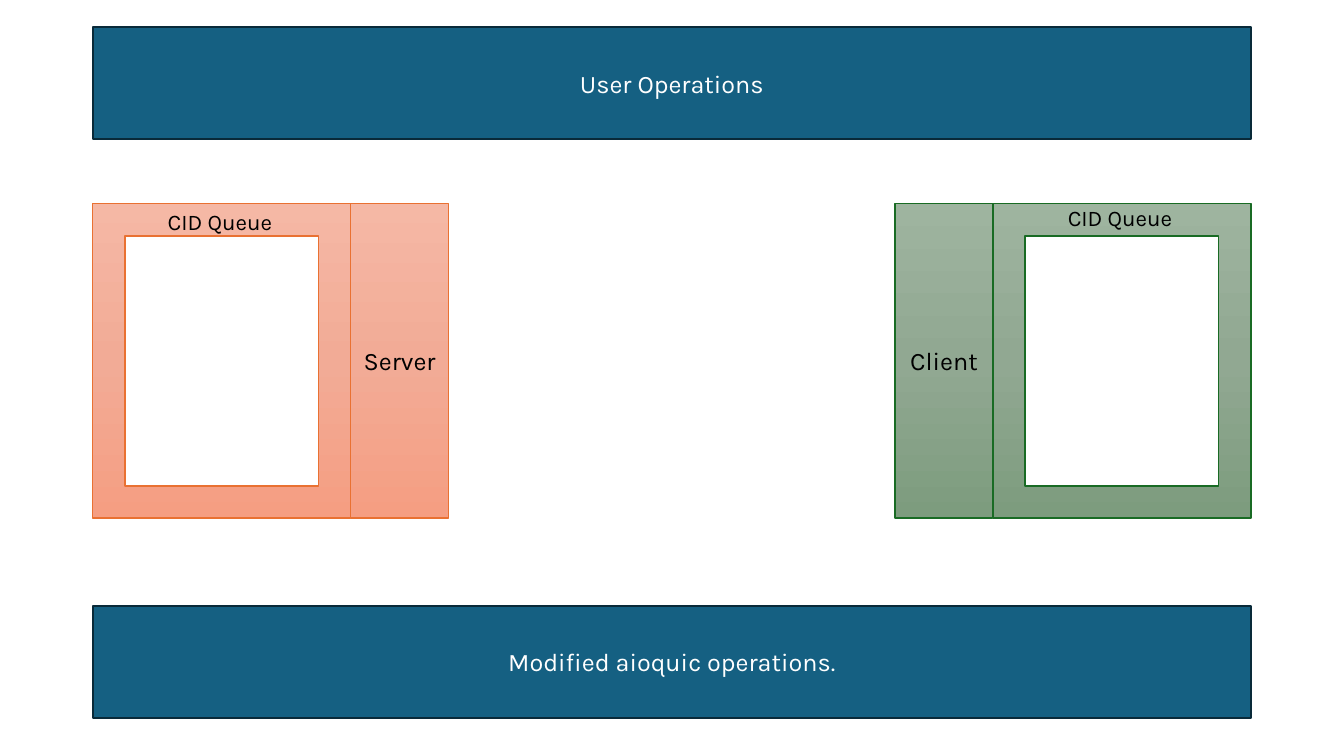
"""Build a slide showing a server and a client between two operation layers."""
from copy import deepcopy
from dataclasses import dataclass

from pptx import Presentation
from pptx.dml.color import RGBColor
from pptx.enum.shapes import MSO_SHAPE as Preset
from pptx.enum.text import MSO_ANCHOR as Anchor, MSO_AUTO_SIZE as AutoSize, PP_ALIGN as Align
from pptx.util import Pt


@dataclass(frozen=True)
class Theme:
    """Colours, font and type sizes of the slide."""
    font: str = "Karla"
    label_size: int = 18
    queue_size: int = 16
    dark_text: str = "000000"
    light_text: str = "FFFFFF"
    bar_fill: str = "156082"
    bar_line: str = "092A39"
    server_line: str = "E97132"
    server_fill: tuple = ("F5B8A5", "F2AB96", "F59E82")
    client_line: str = "196B24"
    client_fill: tuple = ("9EB49F", "91A892", "7D9C7E")


THEME = Theme()
LEFT, CONTENT_WIDTH = 66.24, 827.28
RIGHT = LEFT + CONTENT_WIDTH
BAR_HEIGHT = 79.92
PEER_TOP, PEER_HEIGHT = 145.44, 224.64
FRAME_WIDTH, LABEL_WIDTH = 184.32, 69.84
QUEUE_WIDTH, QUEUE_HEIGHT = 91.44, 26.64


def apply_format(target, values):
    """Set each named attribute on the target."""
    for name, value in values.items():
        setattr(target, name, value)


def write_text(shape, text, size, color, align):
    """Put one formatted line of text in a shape."""
    paragraph = shape.text_frame.paragraphs[0]
    paragraph.alignment = align
    run = paragraph.add_run()
    run.text = text
    apply_format(run.font, {"name": THEME.font, "size": Pt(size)})
    run.font.color.rgb = RGBColor.from_string(color)


def fill_gradient(shape, colors):
    """Fill a shape from top to bottom with three evenly spaced colours."""
    shape.fill.gradient()
    shape.fill.gradient_angle = 270
    stop_list = shape._element.spPr.find(".//{*}gsLst")
    stop_list.append(deepcopy(stop_list[0]))
    for index, (stop, color) in enumerate(zip(shape.fill.gradient_stops, colors)):
        stop.position = index / 2
        stop.color.rgb = RGBColor.from_string(color)


def add_block(slide, preset, box, line_color, line_width):
    """Add an outlined preset shape without a shadow."""
    shape = slide.shapes.add_shape(preset, *map(Pt, box))
    shape.shadow.inherit = False
    shape.line.color.rgb = RGBColor.from_string(line_color)
    shape.line.width = Pt(line_width)
    shape.text_frame.vertical_anchor = Anchor.MIDDLE
    return shape


def add_bar(slide, top, text):
    """Add a full-width operation layer."""
    box = (LEFT, top, CONTENT_WIDTH, BAR_HEIGHT)
    bar = add_block(slide, Preset.RECTANGLE, box, THEME.bar_line, 1.5)
    bar.fill.solid()
    bar.fill.fore_color.rgb = RGBColor.from_string(THEME.bar_fill)
    write_text(bar, text, THEME.label_size, THEME.light_text, Align.CENTER)


def add_queue_label(slide, left, top):
    """Add the caption of a connection ID queue."""
    box = slide.shapes.add_textbox(*map(Pt, (left, top, QUEUE_WIDTH, QUEUE_HEIGHT)))
    apply_format(box.text_frame, {"word_wrap": False, "auto_size": AutoSize.SHAPE_TO_FIT_TEXT})
    write_text(box, "CID Queue", THEME.queue_size, THEME.dark_text, Align.LEFT)


def add_peer(slide, name, label_left, frame_left, queue_top, colors, line_color):
    """Add an endpoint: its name block, its queue frame and the caption."""
    label_box = (label_left, PEER_TOP, LABEL_WIDTH, PEER_HEIGHT)
    frame_box = (frame_left, PEER_TOP, FRAME_WIDTH, PEER_HEIGHT)
    label = add_block(slide, Preset.RECTANGLE, label_box, line_color, 1)
    frame = add_block(slide, Preset.FRAME, frame_box, line_color, 1)
    for shape in (label, frame):
        fill_gradient(shape, colors)
    apply_format(label.text_frame, {"margin_left": 0, "margin_right": 0})
    write_text(label, name, THEME.label_size, THEME.dark_text, Align.CENTER)
    add_queue_label(slide, frame_left + (FRAME_WIDTH - QUEUE_WIDTH) / 2, queue_top)


def main():
    """Build and save the slide."""
    presentation = Presentation()
    apply_format(presentation, {"slide_width": Pt(960), "slide_height": Pt(540)})
    slide = presentation.slides.add_slide(presentation.slide_layouts[6])
    client_frame = RIGHT - FRAME_WIDTH
    add_peer(slide, "Client", client_frame - LABEL_WIDTH, client_frame, 142.56,
             THEME.client_fill, THEME.client_line)
    add_peer(slide, "Server", LEFT + FRAME_WIDTH, LEFT, PEER_TOP,
             THEME.server_fill, THEME.server_line)
    add_bar(slide, 19.44, "User Operations")
    add_bar(slide, 432.72, "Modified aioquic operations.")
    presentation.save("out.pptx")


if __name__ == "__main__":
    main()
